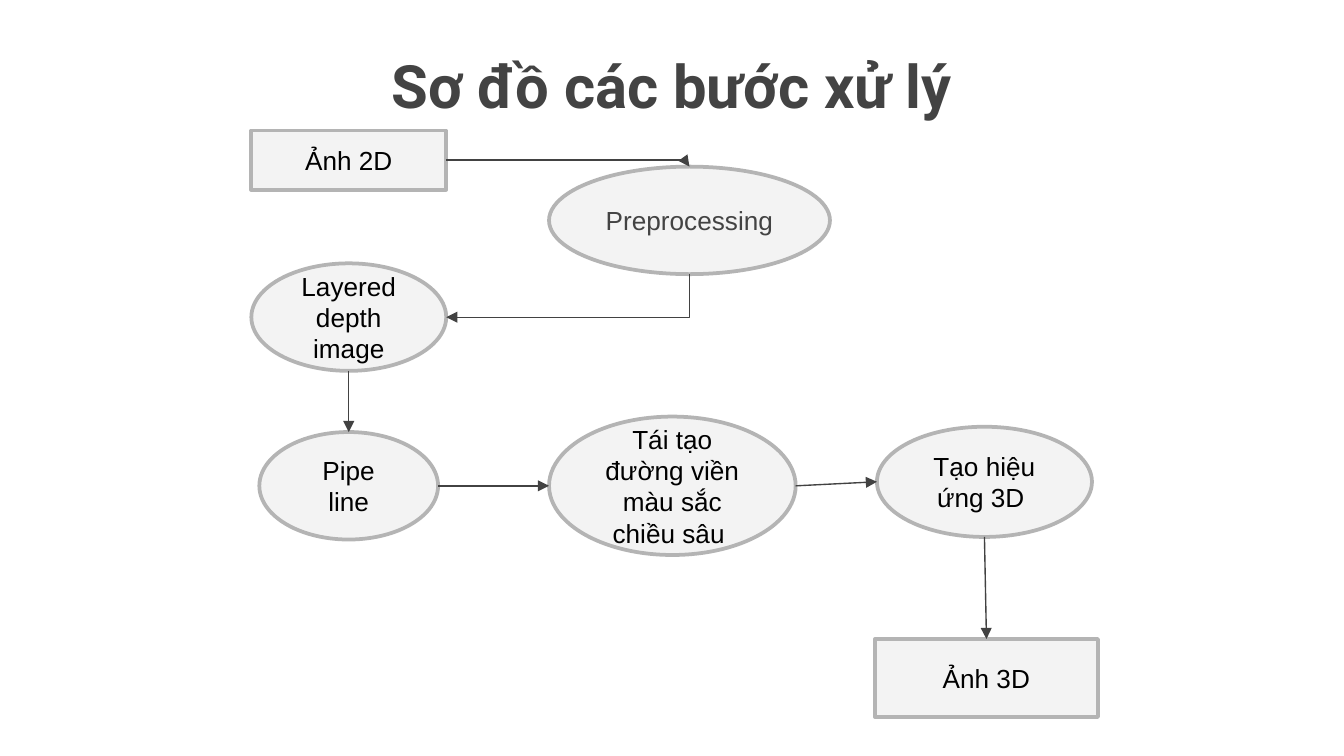
"""Build a one-slide flow chart of the steps from a 2D image to a 3D image."""
from dataclasses import dataclass

from lxml import etree
from pptx import Presentation
from pptx import util as u
from pptx.dml.color import RGBColor
from pptx.enum import shapes, text
from pptx.oxml.ns import qn

COLUMNS, ROWS = 100, 56.25
CELL = u.Inches(0.1)
RECT, OVAL = shapes.MSO_SHAPE.RECTANGLE, shapes.MSO_SHAPE.OVAL
SIDES = {"top": (0.5, 0), "left": (0, 0.5), "bottom": (0.5, 1), "right": (1, 0.5)}


@dataclass(frozen=True)
class Theme:
    """Hold the colours, fonts and sizes of the slide."""
    title_font: str = "Roboto"
    body_font: str = "Arial"
    title_size: float = 32
    body_size: float = 14
    heading: str = "434343"
    ink: str = "000000"
    fill: str = "F3F3F3"
    border: str = "B4B4B4"
    arrow: str = "424242"
    border_width: float = 2
    arrow_width: float = 0.75


THEME = Theme()

STEPS = {
    "flat": (RECT, "Ảnh 2D", (18.7, 9.72, 14.5, 4.4), THEME.ink),
    "layers": (OVAL, "Layered depth image", (18.7, 19.6, 14.5, 8), THEME.ink),
    "pipeline": (OVAL, "Pipe line", (19.3, 32.15, 13.3, 8), THEME.ink),
    "rebuild": (OVAL, "Tái tạo đường viền màu sắc chiều sâu ",
                (40.85, 31, 18.35, 10.3), THEME.ink),
    "effect": (OVAL, "Tạo hiệu ứng 3D ", (65.25, 31.75, 16, 8.2), THEME.ink),
    "solid": (RECT, "Ảnh 3D", (65.1, 47.55, 16.6, 5.8), THEME.ink),
    "preprocess": (OVAL, "Preprocessing", (40.85, 12.4, 20.9, 8), THEME.heading),
}

FLOWS = [
    ("layers", "bottom", "pipeline", "top"),
    ("pipeline", "right", "rebuild", "left"),
    ("rebuild", "right", "effect", "left"),
    ("effect", "bottom", "solid", "top"),
    ("flat", "right", "preprocess", "top"),
    ("preprocess", "bottom", "layers", "right"),
]


def cells(*lengths):
    """Turn grid cells into slide lengths."""
    return [u.Emu(round(length * CELL)) for length in lengths]


def write(frame, words, font, size, colour, bold=False):
    """Set centred, wrapped text in a text frame."""
    frame.text = words
    frame.word_wrap = True
    frame.auto_size = text.MSO_AUTO_SIZE.NONE
    frame.vertical_anchor = text.MSO_ANCHOR.MIDDLE
    frame.margin_left = frame.margin_right = CELL
    frame.margin_top = frame.margin_bottom = CELL
    paragraph = frame.paragraphs[0]
    paragraph.alignment = text.PP_ALIGN.CENTER
    for run in paragraph.runs:
        run.font.name, run.font.size, run.font.bold = font, u.Pt(size), bold
        run.font.color.rgb = RGBColor.from_string(colour)


def add_title(slide, words):
    """Fill and place the title placeholder."""
    title = slide.shapes.title
    title.left, title.top, title.width, title.height = cells(20.25, 2.9, 59.5, 6.8)
    write(title.text_frame, words, THEME.title_font, THEME.title_size,
          THEME.heading, bold=True)


def add_step(slide, kind, words, box, colour):
    """Add one step of the process."""
    step = slide.shapes.add_shape(kind, *cells(*box))
    step.shadow.inherit = False
    step.fill.solid()
    step.fill.fore_color.rgb = RGBColor.from_string(THEME.fill)
    step.line.color.rgb = RGBColor.from_string(THEME.border)
    step.line.width = u.Pt(THEME.border_width)
    write(step.text_frame, words, THEME.body_font, THEME.body_size, colour)
    return step


def anchor(step, side):
    """Return the middle of one side of a step."""
    across, down = SIDES[side]
    return round(step.left + across * step.width), round(step.top + down * step.height)


def glue(flow, tag, step, side):
    """Tie one end of a connector to a side of a step."""
    stride = 2 if step.auto_shape_type == OVAL else 1
    site = list(SIDES).index(side) * stride
    etree.SubElement(flow._element.nvCxnSpPr.cNvCxnSpPr, qn(tag),
                     id=str(step.shape_id), idx=str(site))


def bend(flow, start, end, goes_down):
    """Give a connector one corner, turned a quarter if it first goes down."""
    properties = flow._element.spPr
    properties.find(qn("a:prstGeom")).set("prst", "bentConnector2")
    if goes_down:
        wide, high = abs(end[0] - start[0]), abs(end[1] - start[1])
        frame = properties.find(qn("a:xfrm"))
        frame.attrib.pop("flipH", None)
        frame.set("rot", str(90 * 60000))
        flow.left = (start[0] + end[0] - high) // 2
        flow.top = (start[1] + end[1] - wide) // 2
        flow.width, flow.height = high, wide


def add_flow(slide, source, source_side, target, target_side):
    """Add an arrow from a side of one step to a side of another."""
    start, end = anchor(source, source_side), anchor(target, target_side)
    goes_down = source_side == "bottom"
    straight = goes_down == (target_side == "top")
    kind = shapes.MSO_CONNECTOR.STRAIGHT if straight else shapes.MSO_CONNECTOR.ELBOW
    flow = slide.shapes.add_connector(kind, *start, *end)
    if not straight:
        bend(flow, start, end, goes_down)
    glue(flow, "a:stCxn", source, source_side)
    glue(flow, "a:endCxn", target, target_side)
    flow.line.color.rgb = RGBColor.from_string(THEME.arrow)
    flow.line.width = u.Pt(THEME.arrow_width)
    etree.SubElement(flow.line._get_or_add_ln(), qn("a:tailEnd"), type="triangle")
    etree.SubElement(flow._element.spPr, qn("a:effectLst"))


def main():
    """Build and save the slide."""
    deck = Presentation()
    deck.slide_width, deck.slide_height = cells(COLUMNS, ROWS)
    slide = deck.slides.add_slide(deck.slide_layouts[5])
    add_title(slide, "Sơ đồ các bước xử lý")
    steps = {name: add_step(slide, *step) for name, step in STEPS.items()}
    for source, source_side, target, target_side in FLOWS:
        add_flow(slide, steps[source], source_side, steps[target], target_side)
    deck.save("out.pptx")


if __name__ == "__main__":
    main()
